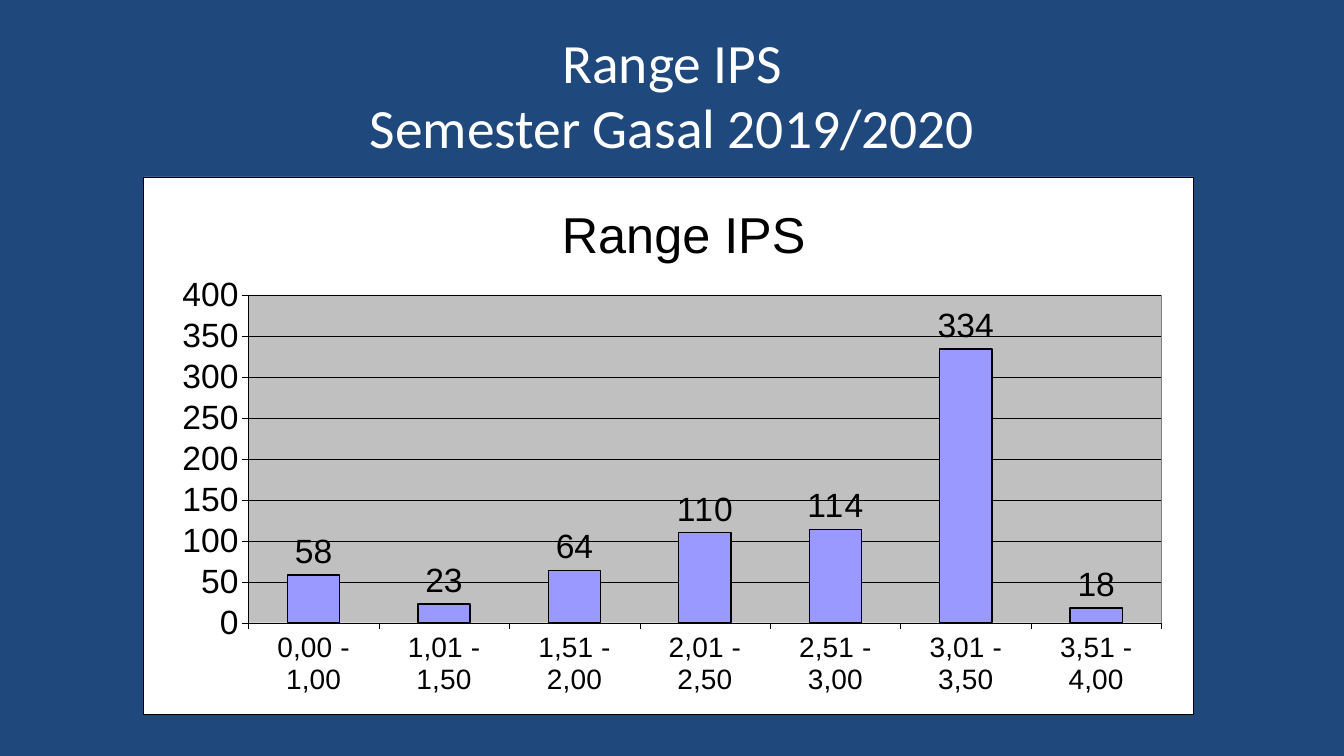
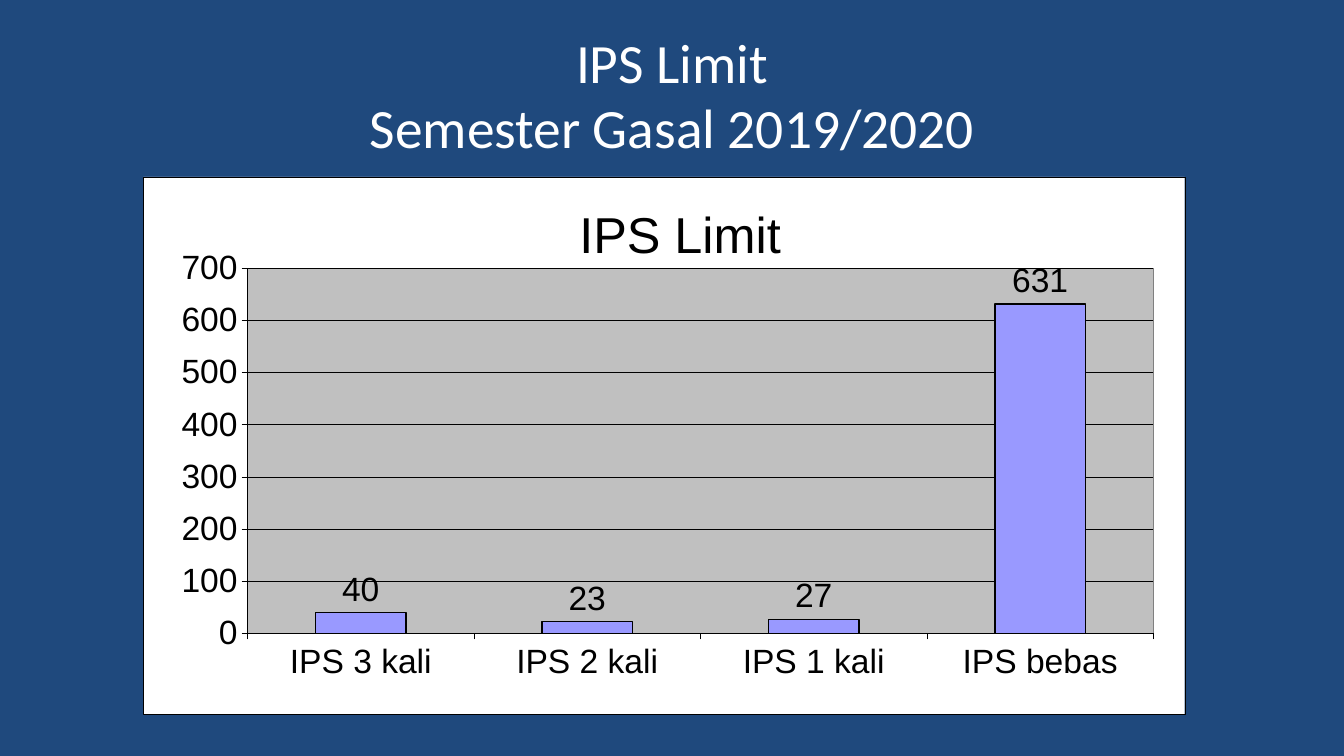
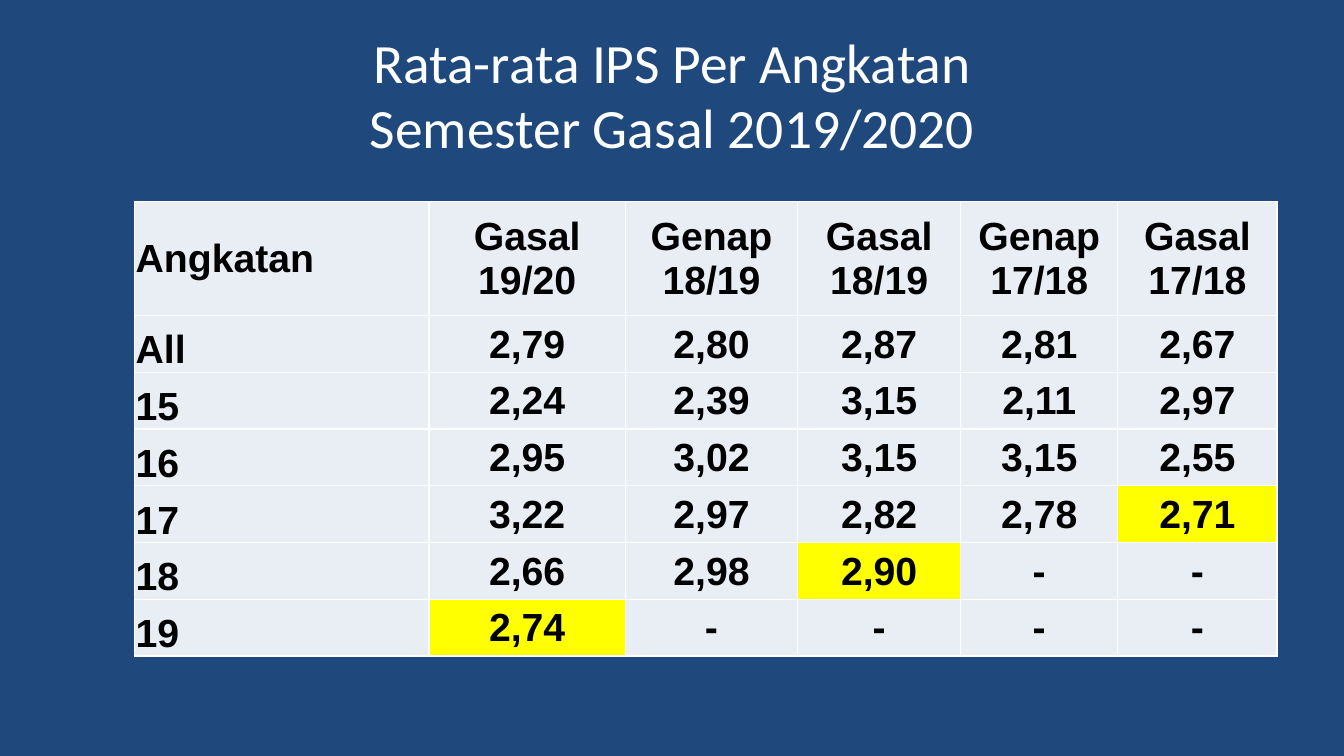
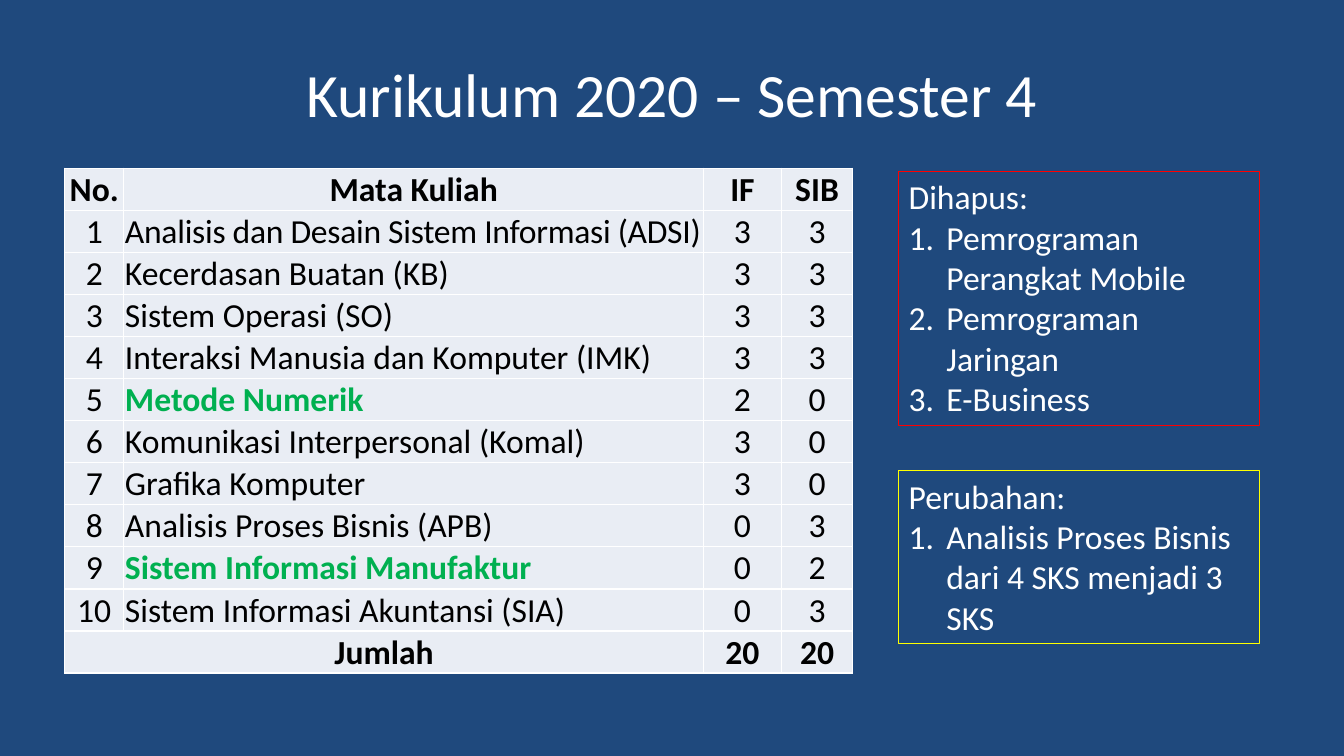
from lxml.etree import SubElement
from pptx import Presentation
from pptx.chart.data import CategoryChartData
from pptx.dml.color import RGBColor
from pptx.enum.chart import XL_CHART_TYPE as ChartType, XL_LABEL_POSITION as LabelPos
from pptx.enum.chart import XL_TICK_MARK as TickMark
from pptx.enum.text import MSO_ANCHOR as Anchor, MSO_AUTO_SIZE as AutoSize, PP_ALIGN as Align
from pptx.oxml import parse_xml
from pptx.oxml.ns import nsdecls, qn
from pptx.util import Cm, Pt

# Shared look
NAVY, WHITE, BLACK = "1F497D", "FFFFFF", "000000"
CELL, YELLOW, GREEN, RED = "E9EDF4", "FFFF00", "00B050", "FF0000"
BAR, PLOT, PLOT_EDGE = "9999FF", "C0C0C0", "808080"
HEADING, BODY = "Calibri", "Arial"
SLIDE_SIZE = (33.87, 19.05)
TITLE_BOX = (1.7, 0.84, 30.48, 3.18)
SEMESTER = "Semester Gasal 2019/2020"


def rgb(code):
    return RGBColor.from_string(code)


def cm_box(box):
    return [Cm(length) for length in box]


def style_font(font, name, size, color=BLACK, bold=False):
    font.name, font.size, font.bold = name, Pt(size), bold
    font.color.rgb = rgb(color)


def write(paragraph, text, *style, **options):
    paragraph.text = text
    for run in paragraph.runs:
        style_font(run.font, *style, **options)


def set_line(line, color, width):
    line.color.rgb = rgb(color)
    line.width = Pt(width)


def new_slide(prs, title, size=39.6):
    """Add a blank navy slide with its centred title."""
    slide = prs.slides.add_slide(prs.slide_layouts[6])
    slide.background.fill.solid()
    slide.background.fill.fore_color.rgb = rgb(NAVY)
    frame = slide.shapes.add_textbox(*cm_box(TITLE_BOX)).text_frame
    frame.word_wrap = True
    frame.vertical_anchor = Anchor.MIDDLE
    heading = frame.paragraphs[0]
    write(heading, title, HEADING, size, WHITE)
    heading.alignment = Align.CENTER
    heading.line_spacing = 0.97
    return slide


# Charts
def area_format(fill, edge):
    return parse_xml(
        f'<c:spPr {nsdecls("c", "a")}>'
        f'<a:solidFill><a:srgbClr val="{fill}"/></a:solidFill>'
        f'<a:ln w="{Pt(0.25)}"><a:solidFill><a:srgbClr val="{edge}"/></a:solidFill></a:ln>'
        '</c:spPr>')


def manual_layout(inner=False, **fractions):
    target = '<c:layoutTarget val="inner"/>' if inner else ""
    places = "".join(f'<c:{key} val="{value}"/>' for key, value in fractions.items())
    return parse_xml(
        f'<c:layout {nsdecls("c")}><c:manualLayout>{target}'
        f'<c:xMode val="edge"/><c:yMode val="edge"/>{places}'
        '</c:manualLayout></c:layout>')


def replace_layout(parent, layout, position):
    for old in parent.findall(qn("c:layout")):
        parent.remove(old)
    parent.insert(position, layout)


def add_bar_chart(slide, box, title, counts, top, step, plot, title_x, category_size=24):
    """Draw a column chart; plot is (top, height) as fractions of the box."""
    data = CategoryChartData(number_format="0")
    data.categories = list(counts)
    data.add_series("Series 1", list(counts.values()))
    chart = slide.shapes.add_chart(ChartType.COLUMN_CLUSTERED, *cm_box(box), data).chart
    style_font(chart.font, BODY, 24)
    chart.has_legend = False

    # Title
    chart.has_title = True
    write(chart.chart_title.text_frame.paragraphs[0], title, BODY, 36)
    title_xml = chart.chart_title._element
    replace_layout(title_xml, manual_layout(x=title_x, y=0.03), 1)
    chart.chart_title.include_in_layout = False

    # Axes
    values, categories = chart.value_axis, chart.category_axis
    values.minimum_scale, values.maximum_scale, values.major_unit = 0, top, step
    values.has_major_gridlines = True
    set_line(values.major_gridlines.format.line, BLACK, 0.25)
    for axis, size in ((values, 24), (categories, category_size)):
        axis.major_tick_mark = TickMark.OUTSIDE
        axis.minor_tick_mark = TickMark.NONE
        set_line(axis.format.line, BLACK, 0.25)
        style_font(axis.tick_labels.font, BODY, size)

    # Bars and their labels
    bars = chart.plots[0]
    bars.gap_width = 150
    bars.vary_by_categories = False
    bars.has_data_labels = True
    labels = bars.data_labels
    labels.show_value = True
    labels.position = LabelPos.OUTSIDE_END
    labels.number_format, labels.number_format_is_linked = "0", False
    style_font(labels.font, BODY, 24)
    series = bars.series[0]
    series.format.fill.solid()
    series.format.fill.fore_color.rgb = rgb(BAR)
    set_line(series.format.line, BLACK, 1)

    # Backgrounds and plot position
    chart_xml = chart._chartSpace.find(qn("c:chart"))
    chart_xml.addnext(area_format(WHITE, BLACK))
    plot_xml = chart_xml.find(qn("c:plotArea"))
    replace_layout(plot_xml, manual_layout(True, x=0.1, y=plot[0], w=0.87, h=plot[1]), 0)
    plot_xml.append(area_format(PLOT, PLOT_EDGE))


# Tables
def format_cell(cell, fill=CELL):
    cell.margin_left = cell.margin_right = cell.margin_top = Cm(0.03)
    cell.margin_bottom = 0
    cell.vertical_anchor = Anchor.MIDDLE
    properties = cell._tc.get_or_add_tcPr()
    for side in ("lnL", "lnR", "lnT", "lnB"):
        border = SubElement(properties, qn(f"a:{side}"), w=str(Pt(1)))
        SubElement(SubElement(border, qn("a:solidFill")), qn("a:srgbClr"), val=WHITE)
    cell.fill.solid()
    cell.fill.fore_color.rgb = rgb(fill)


def add_plain_table(slide, corner, widths, heights):
    size = (sum(widths), sum(heights))
    table = slide.shapes.add_table(
        len(heights), len(widths), *cm_box(corner + size)).table
    table.first_row = table.horz_banding = False
    for column, width in zip(table.columns, widths):
        column.width = Cm(width)
    for row, height in zip(table.rows, heights):
        row.height = Cm(height)
    return table


def add_average_table(slide, corner, rows, highlights):
    table = add_plain_table(
        slide, corner, (7.42, 4.95, 4.34, 4.11, 3.96, 4.01),
        [2.87] + [1.43] * (len(rows) - 1))
    for r, row in enumerate(rows):
        for c, text in enumerate(row):
            cell = table.cell(r, c)
            format_cell(cell, YELLOW if (r, c) in highlights else CELL)
            paragraph = cell.text_frame.paragraphs[0]
            write(paragraph, text, BODY, 28, bold=True)
            if c:
                paragraph.alignment = Align.CENTER
            elif r:
                cell.vertical_anchor = Anchor.BOTTOM


def add_course_table(slide, corner, courses, new_courses):
    totals = [str(sum(course[k] for course in courses)) for k in (1, 2)]
    rows = [("No.", "Mata Kuliah", "IF", "SIB")]
    rows += [(str(n), name, str(informatics), str(business))
             for n, (name, informatics, business) in enumerate(courses, 1)]
    rows.append(("Jumlah", "", *totals))
    last = len(rows) - 1
    table = add_plain_table(slide, corner, (1.49, 14.61, 1.96, 1.8), [1.06] * len(rows))
    for r, row in enumerate(rows):
        for c, text in enumerate(row):
            cell = table.cell(r, c)
            format_cell(cell)
            is_new = text in new_courses
            is_course = c == 1 and 0 < r < last
            paragraph = cell.text_frame.paragraphs[0]
            write(paragraph, text, HEADING, 24, GREEN if is_new else BLACK,
                  bold=is_new or r in (0, last))
            paragraph.alignment = Align.LEFT if is_course else Align.CENTER
    table.cell(last, 0).merge(table.cell(last, 1))
    # Tighten the longest course name so that it stays on one line
    longest = table.cell(1, 1).text_frame.paragraphs[0].runs[0]
    longest.font._element.set("spc", "-20")


# Notes beside the course table
def add_note(slide, box, edge, heading, items):
    note = slide.shapes.add_textbox(*cm_box(box))
    set_line(note.line, edge, 0.75)
    frame = note.text_frame
    frame.word_wrap = True
    frame.auto_size = AutoSize.SHAPE_TO_FIT_TEXT
    write(frame.paragraphs[0], heading, HEADING, 24, WHITE)
    for item in items:
        paragraph = frame.add_paragraph()
        properties = paragraph._p.get_or_add_pPr()
        properties.set("marL", str(Cm(0.95)))
        properties.set("indent", str(-Cm(0.95)))
        SubElement(properties, qn("a:buFont"), typeface="+mj-lt")
        SubElement(properties, qn("a:buAutoNum"), type="arabicPeriod")
        write(paragraph, item, HEADING, 24, WHITE)


# Slides
def build_range_slide(prs):
    slide = new_slide(prs, f"Range IPS\n{SEMESTER}")
    counts = {"0,00 - 1,00": 58, "1,01 - 1,50": 23, "1,51 - 2,00": 64,
              "2,01 - 2,50": 110, "2,51 - 3,00": 114, "3,01 - 3,50": 334,
              "3,51 - 4,00": 18}
    add_bar_chart(slide, (3.61, 4.45, 26.46, 13.55), "Range IPS", counts,
                  400, 50, (0.22, 0.61), 0.39, category_size=20)


def build_limit_slide(prs):
    slide = new_slide(prs, f"IPS Limit\n{SEMESTER}")
    counts = {"IPS 3 kali": 40, "IPS 2 kali": 23, "IPS 1 kali": 27, "IPS bebas": 631}
    add_bar_chart(slide, (3.61, 4.45, 26.25, 13.55), "IPS Limit", counts,
                  700, 100, (0.17, 0.68), 0.41)


def build_average_slide(prs):
    slide = new_slide(prs, f"Rata-rata IPS Per Angkatan\n{SEMESTER}")
    rows = [
        ("Angkatan", "Gasal 19/20", "Genap\n18/19", "Gasal 18/19", "Genap 17/18",
         "Gasal\n17/18"),
        ("All", "2,79", "2,80", "2,87", "2,81", "2,67"),
        ("15", "2,24", "2,39", "3,15", "2,11", "2,97"),
        ("16", "2,95", "3,02", "3,15", "3,15", "2,55"),
        ("17", "3,22", "2,97", "2,82", "2,78", "2,71"),
        ("18", "2,66", "2,98", "2,90", "-", "-"),
        ("19", "2,74", "-", "-", "-", "-"),
    ]
    add_average_table(slide, (3.39, 5.08), rows, {(4, 5), (5, 3), (6, 1)})


def build_curriculum_slide(prs):
    slide = new_slide(prs, "Kurikulum 2020 – Semester 4", 44)
    courses = [
        ("Analisis dan Desain Sistem Informasi (ADSI)", 3, 3),
        ("Kecerdasan Buatan (KB)", 3, 3),
        ("Sistem Operasi (SO)", 3, 3),
        ("Interaksi Manusia dan Komputer (IMK)", 3, 3),
        ("Metode Numerik", 2, 0),
        ("Komunikasi Interpersonal (Komal)", 3, 0),
        ("Grafika Komputer", 3, 0),
        ("Analisis Proses Bisnis (APB)", 0, 3),
        ("Sistem Informasi Manufaktur", 0, 2),
        ("Sistem Informasi Akuntansi (SIA)", 0, 3),
    ]
    add_course_table(slide, (1.63, 4.24), courses,
                     {"Metode Numerik", "Sistem Informasi Manufaktur"})
    add_note(slide, (22.65, 4.32, 9.1, 6.4), RED, "Dihapus:",
             ["Pemrograman Perangkat Mobile", "Pemrograman Jaringan", "E-Business"])
    add_note(slide, (22.65, 11.86, 9.1, 4.36), YELLOW, "Perubahan:",
             ["Analisis Proses Bisnis dari 4 SKS menjadi 3 SKS"])


def main():
    prs = Presentation()
    prs.slide_width, prs.slide_height = cm_box(SLIDE_SIZE)
    build_range_slide(prs)
    build_limit_slide(prs)
    build_average_slide(prs)
    build_curriculum_slide(prs)
    prs.save("out.pptx")


if __name__ == "__main__":
    main()
